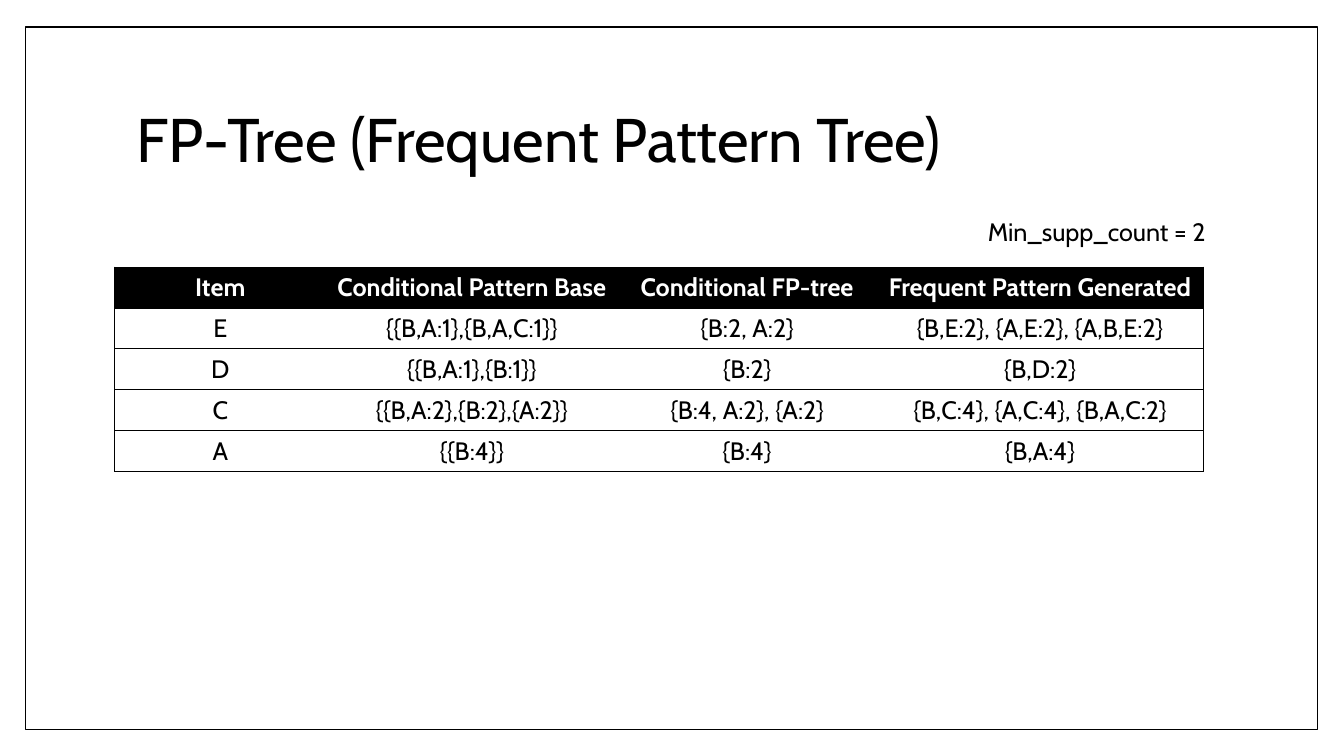
from pptx import Presentation
from pptx.dml.color import RGBColor
from pptx.enum import shapes, text
from pptx.oxml import parse_xml
from pptx.oxml.ns import nsdecls
from pptx.util import Inches, Pt

TITLE = "FP-Tree (Frequent Pattern Tree)"
THRESHOLD = "Min_supp_count = 2"
PATTERNS = [
    ("Item", "Conditional Pattern Base", "Conditional FP-tree", "Frequent Pattern Generated"),
    ("E", "{{B,A:1},{B,A,C:1}}", "{B:2, A:2}", "{B,E:2}, {A,E:2}, {A,B,E:2}"),
    ("D", "{{B,A:1},{B:1}}", "{B:2}", "{B,D:2}"),
    ("C", "{{B,A:2},{B:2},{A:2}}", "{B:4, A:2}, {A:2}", "{B,C:4}, {A,C:4}, {B,A,C:2}"),
    ("A", "{{B:4}}", "{B:4}", "{B,A:4}"),
]
COLUMN_WIDTHS = [2.09, 2.9, 2.56, 3.25]
ROW_HEIGHT = 0.4
FONT, BLACK, WHITE = "Cabin", "000000", "FFFFFF"
RULE_WIDTH = Pt(0.79)


def paint(color_format, color):
    color_format.rgb = RGBColor.from_string(color)


def fill(part, color):
    part.fill.solid()
    paint(part.fill.fore_color, color)


def write(paragraph, words, size, color=BLACK, bold=False):
    run = paragraph.add_run()
    run.text = words
    run.font.name, run.font.size, run.font.bold = FONT, Pt(size), bold
    paint(run.font.color, color)


def set_borders(cell, ruled_sides):
    properties = cell._tc.get_or_add_tcPr()
    for place, side in enumerate("LRTB"):
        ink = (f'<a:solidFill><a:srgbClr val="{BLACK}"/></a:solidFill>'
               if side in ruled_sides else "<a:noFill/>")
        properties.insert(place, parse_xml(
            f'<a:ln{side} {nsdecls("a")} w="{RULE_WIDTH}">{ink}</a:ln{side}>'))


deck = Presentation()
deck.slide_width, deck.slide_height = Inches(13.33), Inches(7.5)
slide = deck.slides.add_slide(deck.slide_layouts[5])

# Page frame, behind everything else
frame = slide.shapes.add_shape(shapes.MSO_SHAPE.RECTANGLE, Inches(0.25), Inches(0.27),
                               Inches(12.82), Inches(6.97))
frame.shadow.inherit = False
fill(frame, WHITE)
paint(frame.line.color, BLACK)
frame.line.width = Pt(1)
slide.shapes._spTree.insert(2, frame._element)

# Title
title = slide.shapes.title
title.left, title.top, title.width, title.height = map(Inches, (1.25, 0.67, 10.8, 1.48))
title.text_frame.vertical_anchor = text.MSO_ANCHOR.MIDDLE
title.text_frame.word_wrap = True
heading = title.text_frame.paragraphs[0]
heading.alignment = text.PP_ALIGN.LEFT
heading.line_spacing = 0.9
write(heading, TITLE, 44)

# Pattern table: rules between rows and around the outside
last = len(COLUMN_WIDTHS) - 1
table = slide.shapes.add_table(
    len(PATTERNS), len(COLUMN_WIDTHS), Inches(1.14), Inches(2.65),
    Inches(sum(COLUMN_WIDTHS)), Inches(ROW_HEIGHT * len(PATTERNS))).table
table.horz_banding = False
for column, width in zip(table.columns, COLUMN_WIDTHS):
    column.width = Inches(width)
for r, entries in enumerate(PATTERNS):
    table.rows[r].height = Inches(ROW_HEIGHT)
    header = r == 0
    for c, entry in enumerate(entries):
        cell = table.cell(r, c)
        fill(cell, BLACK if header else WHITE)
        set_borders(cell, "TB" + "L" * (c == 0) + "R" * (c == last))
        cell.vertical_anchor = text.MSO_ANCHOR.MIDDLE
        paragraph = cell.text_frame.paragraphs[0]
        paragraph.alignment = text.PP_ALIGN.CENTER
        write(paragraph, entry, 18, WHITE if header else BLACK, header)

# Support threshold
threshold = slide.shapes.add_textbox(Inches(9.7), Inches(2.1), Inches(2.39), Inches(0.4))
threshold.text_frame.word_wrap = True
threshold.text_frame.auto_size = text.MSO_AUTO_SIZE.SHAPE_TO_FIT_TEXT
write(threshold.text_frame.paragraphs[0], THRESHOLD, 18)

deck.save("out.pptx")
